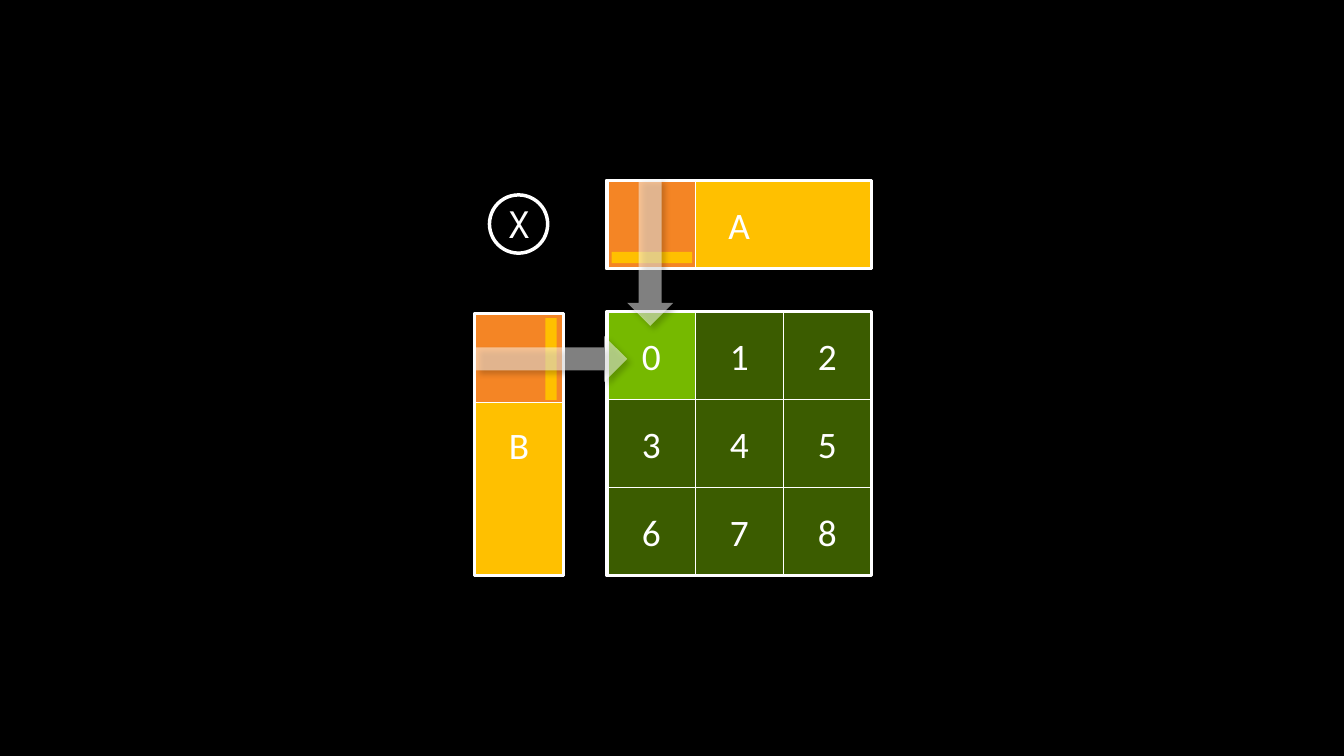
from dataclasses import dataclass

from lxml import etree
from pptx import Presentation
from pptx.dml.color import RGBColor
from pptx.enum.shapes import MSO_SHAPE as Shape
from pptx.enum.text import MSO_ANCHOR as Anchor, PP_ALIGN as Align
from pptx.oxml.ns import qn
from pptx.util import Inches, Pt


@dataclass(frozen=True)
class Theme:
    black: str = "000000"
    white: str = "FFFFFF"
    amber: str = "FFC000"
    red: str = "EB4B4B"
    green: str = "76B900"
    dark_green: str = "3B5C00"
    font: str = "Calibri"
    symbol_font: str = "Noto Sans Mono"
    size: float = 24
    thin: float = 0.5
    thick: float = 2
    ring: float = 2.25


THEME = Theme()
CELL = 0.79    # side of one tile
PITCH = 0.786  # distance between tiles
COUNT = 3
SIDE = 2.36    # side of the whole result matrix


def add_child(parent, tag, **attributes):
    child = etree.SubElement(parent, qn(tag))
    for name, value in attributes.items():
        child.set(name, str(value))
    return child


def add_shape(page, kind, box, fill=None, alpha=None, line=None, rotation=0):
    shape = page.shapes.add_shape(kind, *(Inches(value) for value in box))
    shape.shadow.inherit = False
    shape.rotation = rotation
    if fill:
        shape.fill.solid()
        shape.fill.fore_color.rgb = RGBColor.from_string(fill)
        if alpha:
            color = shape.fill._xPr.find(qn("a:solidFill"))[0]
            add_child(color, "a:alpha", val=alpha * 1000)
    else:
        shape.fill.background()
    if line:
        shape.line.color.rgb = RGBColor.from_string(THEME.white)
        shape.line.width = Pt(line)
    else:
        shape.line.fill.background()
    return shape


def set_text(shape, text, font=THEME.font, size=THEME.size, color=THEME.white):
    frame = shape.text_frame
    frame.vertical_anchor = Anchor.MIDDLE
    para = frame.paragraphs[0]
    para.alignment = Align.CENTER
    span = para.add_run()
    span.text = text
    span.font.name = font
    span.font.size = Pt(size)
    span.font.color.rgb = RGBColor.from_string(color)


def add_operand(page, box, label):
    shape = add_shape(page, Shape.RECTANGLE, box, THEME.amber, line=THEME.thick)
    set_text(shape, label)


def add_result(page, left, top):
    """Square of numbered tiles, the first one highlighted."""
    for number in range(COUNT ** 2):
        row, column = divmod(number, COUNT)
        box = (left + column * PITCH, top + row * PITCH, CELL, CELL)
        fill = THEME.dark_green if number else THEME.green
        tile = add_shape(page, Shape.RECTANGLE, box, fill, line=THEME.thin)
        set_text(tile, str(number))
    add_shape(page, Shape.RECTANGLE, (left, top, SIDE, SIDE), line=THEME.thick)


def add_operator(page, box):
    ring = add_shape(page, Shape.OVAL, box, line=THEME.ring)
    set_text(ring, "X", font=THEME.symbol_font)
    frame = ring.text_frame
    frame.word_wrap = False
    frame.margin_left = Inches(0.01)
    frame.margin_right = frame.margin_top = frame.margin_bottom = 0


def add_active_tile(page, operand):
    """Tint the first tile of an operand and redraw the operand's outline."""
    tile = (operand[0], operand[1], CELL, CELL)
    add_shape(page, Shape.RECTANGLE, tile, THEME.red, alpha=50, line=THEME.thin)
    add_shape(page, Shape.RECTANGLE, operand, line=THEME.thick)


def add_flow_arrow(page, box, rotation=0):
    arrow = add_shape(page, Shape.RIGHT_ARROW, box, THEME.white, alpha=50,
                      rotation=rotation)
    effects = arrow._element.spPr.find(qn("a:effectLst"))
    shadow = add_child(effects, "a:outerShdw", blurRad=Pt(4), dist=Pt(3),
                       dir=45 * 60000, algn="tl", rotWithShape=0)
    color = add_child(shadow, "a:srgbClr", val=THEME.black)
    add_child(color, "a:alpha", val=40000)


def main():
    deck = Presentation()
    deck.slide_width, deck.slide_height = Inches(12), Inches(6.75)
    page = deck.slides.add_slide(deck.slide_layouts[6])
    background = page.background.fill
    background.solid()
    background.fore_color.rgb = RGBColor.from_string(THEME.black)

    # Operands, result and operator
    column_b = (4.24, 2.8, CELL, 2.34)
    row_a = (5.42, 1.61, SIDE, CELL)
    add_operand(page, column_b, "B")
    add_operand(page, row_a, "A")
    add_result(page, 5.42, 2.78)
    add_operator(page, (4.37, 1.74, 0.52, 0.52))

    # Active tiles, each with its strip and arrow to the result
    add_active_tile(page, column_b)
    add_active_tile(page, row_a)
    add_shape(page, Shape.RECTANGLE, (4.87, 2.84, 0.1, 0.73), THEME.amber)
    add_flow_arrow(page, (4.25, 3, 1.35, 0.41))
    add_shape(page, Shape.RECTANGLE, (5.46, 2.25, 0.72, 0.1), THEME.amber)
    add_flow_arrow(page, (5.15, 2.05, 1.31, 0.41), rotation=90)

    deck.save("out.pptx")


if __name__ == "__main__":
    main()
